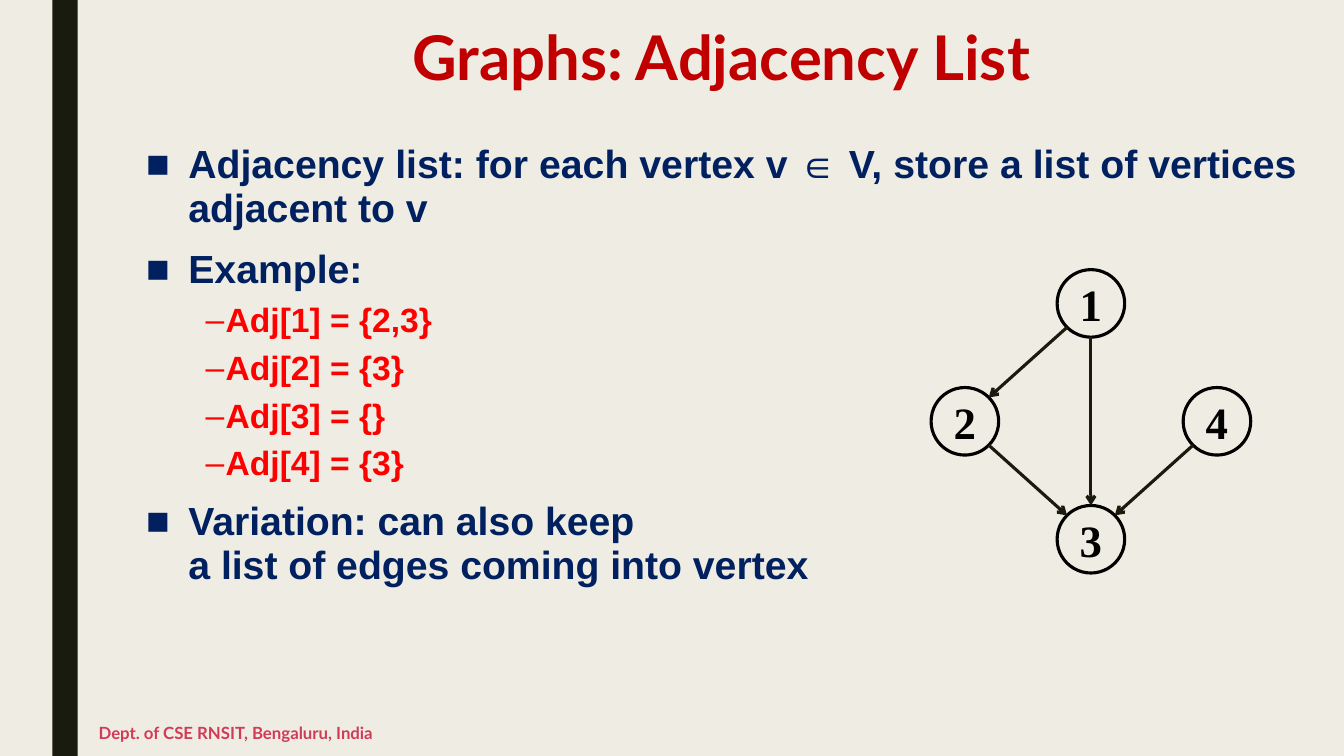
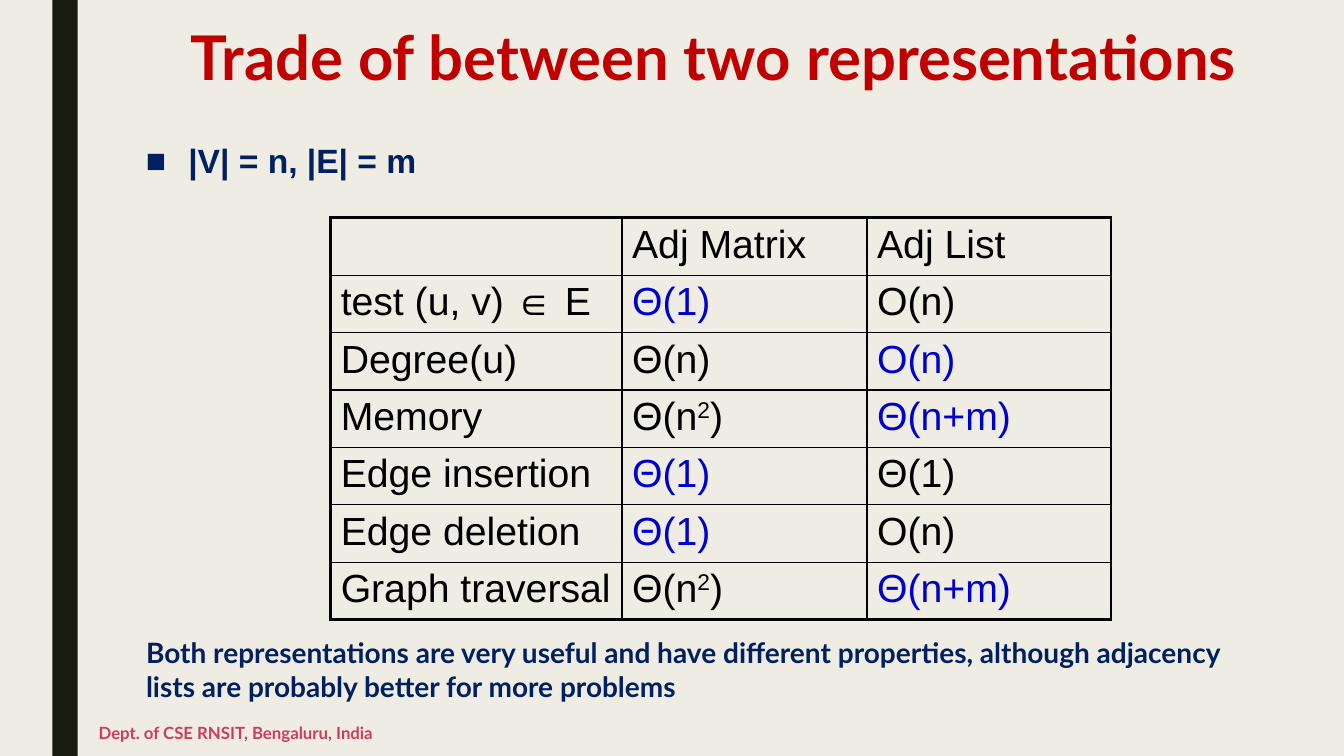
import math

from lxml import etree
from pptx import Presentation
from pptx.dml.color import RGBColor
from pptx.enum.shapes import MSO_CONNECTOR, MSO_SHAPE
from pptx.enum.text import MSO_ANCHOR, MSO_AUTO_SIZE, PP_ALIGN
from pptx.oxml.ns import qn
from pptx.util import Inches, Pt

RECTANGLE, OVAL = MSO_SHAPE.RECTANGLE, MSO_SHAPE.OVAL
STRAIGHT = MSO_CONNECTOR.STRAIGHT
TOP, MIDDLE = MSO_ANCHOR.TOP, MSO_ANCHOR.MIDDLE
LEFT, CENTER, JUSTIFY = PP_ALIGN.LEFT, PP_ALIGN.CENTER, PP_ALIGN.JUSTIFY
NO_AUTOFIT = MSO_AUTO_SIZE.NONE

# Colours and fonts
CREAM = RGBColor(0xEF, 0xED, 0xE3)
DARK = RGBColor(0x19, 0x1B, 0x0E)
TITLE_RED = RGBColor(0xC0, 0x00, 0x00)
NAVY = RGBColor(0x00, 0x20, 0x60)
RED = RGBColor(0xFF, 0x00, 0x00)
BLUE = RGBColor(0x00, 0x00, 0xCC)
BLACK = RGBColor(0x00, 0x00, 0x00)
ROSE = RGBColor(0xD1, 0x3B, 0x56)
SANS, HEADING, SERIF = "Arial", "Lato", "Times New Roman"

# Per list level: bullet, left indent, hanging indent, space before, colour
LEVELS = (("■", 0.42, 0.42, 10, NAVY), ("–", 0.79, 0.2, 5, RED))
CONTENT_LEFT = 1.35
FOOTER = "Dept. of CSE RNSIT, Bengaluru, India"

# Graph: vertex centres on a grid
NODE_SIZE = 0.67
GRAPH_X, GRAPH_Y, STEP_X, STEP_Y = 10.82, 3.01, 1.25, 1.17
NODES = {
    "1": (GRAPH_X, GRAPH_Y),
    "2": (GRAPH_X - STEP_X, GRAPH_Y + STEP_Y),
    "4": (GRAPH_X + STEP_X, GRAPH_Y + STEP_Y),
    "3": (GRAPH_X, GRAPH_Y + 2 * STEP_Y),
}
EDGES = (("1", "2"), ("2", "3"), ("4", "3"), ("1", "3"))

# Table: label, matrix cost, list cost, column shown in blue; ^ marks superscript
COSTS = (
    ("", "Adj Matrix", "Adj List", None),
    ("test (u, v) ∈ E", "Θ(1)", "O(n)", 1),
    ("Degree(u)", "Θ(n)", "O(n)", 2),
    ("Memory", "Θ(n^2^)", "Θ(n+m)", 2),
    ("Edge insertion", "Θ(1)", "Θ(1)", 1),
    ("Edge deletion", "Θ(1)", "O(n)", 1),
    ("Graph traversal", "Θ(n^2^)", "Θ(n+m)", 2),
)
COLUMN_WIDTHS = (2.89, 2.43, 2.42)
ROW_HEIGHT = 0.57


def format_span(span, size, font, color, bold=True):
    span.font.size = Pt(size)
    span.font.name = font
    span.font.color.rgb = color
    span.font.bold = bold


def format_para(para, size, font, color, align=LEFT):
    para.alignment = align
    for span in para.runs:
        format_span(span, size, font, color)


def add_text(page, area, text, size, color, anchor=TOP):
    box = page.shapes.add_textbox(*map(Inches, area))
    frame = box.text_frame
    frame.word_wrap = True
    frame.vertical_anchor = anchor
    frame.text = text
    format_para(frame.paragraphs[0], size, HEADING, color)


def add_page(deck, title):
    """Add a slide with the side band, title and footer."""
    page = deck.slides.add_slide(deck.slide_layouts[5])
    band = page.shapes.add_shape(RECTANGLE, Inches(0.52), 0,
                                 Inches(0.25), deck.slide_height)
    band.shadow.inherit = False
    band.fill.solid()
    band.fill.fore_color.rgb = DARK
    band.line.fill.background()

    box = page.shapes.title
    box.left, box.top = Inches(CONTENT_LEFT), Inches(0.23)
    box.width, box.height = Inches(11.61), Inches(0.88)
    frame = box.text_frame
    frame.text = title
    frame.auto_size = NO_AUTOFIT
    frame.vertical_anchor = TOP
    para = frame.paragraphs[0]
    para.line_spacing = 0.89
    format_para(para, 44, HEADING, TITLE_RED, CENTER)

    add_text(page, (0.88, 7.05, 6.87, 0.44), FOOTER, 12, ROSE, MIDDLE)
    return page


def add_bullets(page, width, height, items, sizes):
    """Add a list of (level, text, alignment) items."""
    box = page.shapes.add_textbox(Inches(CONTENT_LEFT), Inches(1.37),
                                  Inches(width), Inches(height))
    frame = box.text_frame
    frame.word_wrap = True
    for index, (level, text, align) in enumerate(items):
        bullet, indent, hanging, before, color = LEVELS[level]
        para = frame.add_paragraph() if index else frame.paragraphs[0]
        para.text = text
        para.level = level
        properties = para._p.get_or_add_pPr()
        properties.set("marL", str(Inches(indent)))
        properties.set("indent", str(-Inches(hanging)))
        etree.SubElement(properties, qn("a:buFont"), typeface=SANS)
        etree.SubElement(properties, qn("a:buChar"), char=bullet)
        para.line_spacing = 0.94
        para.space_before = Pt(before if index else 0)
        para.space_after = Pt(2)
        format_para(para, sizes[level], SANS, color, align)


def add_node(page, label, center):
    left, top = (value - NODE_SIZE / 2 for value in center)
    node = page.shapes.add_shape(OVAL, Inches(left), Inches(top),
                                 Inches(NODE_SIZE), Inches(NODE_SIZE))
    node.shadow.inherit = False
    node.fill.background()
    node.line.color.rgb = BLACK
    node.line.width = Pt(2.25)
    frame = node.text_frame
    frame.word_wrap = False
    frame.vertical_anchor = MIDDLE
    frame.text = label
    format_para(frame.paragraphs[0], 32, SERIF, BLACK, CENTER)


def add_edge(page, start, end):
    """Draw an arrow between the rims, vertical or leaving at 45 degrees."""
    across, down = ((b > a) - (b < a) for a, b in zip(start, end))
    reach = NODE_SIZE / 2 / math.hypot(across, down)
    shift = (across * reach, down * reach)
    first = [Inches(a + d) for a, d in zip(start, shift)]
    last = [Inches(b - d) for b, d in zip(end, shift)]
    edge = page.shapes.add_connector(STRAIGHT, *first, *last)
    edge.line.color.rgb = DARK
    edge.line.width = Pt(2.25)
    etree.SubElement(edge.line._get_or_add_ln(), qn("a:tailEnd"), type="arrow")
    etree.SubElement(edge._element.spPr, qn("a:effectLst"))


def set_borders(cell, widths):
    properties = cell._tc.get_or_add_tcPr()
    for side, width in zip("LRTB", widths):
        line = etree.SubElement(properties, qn(f"a:ln{side}"), w=str(Pt(width)))
        fill = etree.SubElement(line, qn("a:solidFill"))
        etree.SubElement(fill, qn("a:srgbClr"), val=str(BLACK))


def fill_cell(cell, text, color):
    para = cell.text_frame.paragraphs[0]
    for index, piece in enumerate(text.split("^")):
        if piece:
            span = para.add_run()
            span.text = piece
            format_span(span, 28, SANS, color, bold=False)
            if index % 2:
                span.font._element.set("baseline", "30000")


def add_cost_table(page):
    rows, columns = len(COSTS), len(COLUMN_WIDTHS)
    table = page.shapes.add_table(
        rows, columns, Inches(3.28), Inches(2.16),
        Inches(sum(COLUMN_WIDTHS)), Inches(ROW_HEIGHT * rows)).table
    table.first_row = table.horz_banding = False
    for column, width in zip(table.columns, COLUMN_WIDTHS):
        column.width = Inches(width)
    for r, (*texts, best) in enumerate(COSTS):
        table.rows[r].height = Inches(ROW_HEIGHT)
        for c, text in enumerate(texts):
            cell = table.cell(r, c)
            outer = (c == 0, c == columns - 1, r == 0, r == rows - 1)
            set_borders(cell, [2.25 if edge else 1 for edge in outer])
            cell.fill.background()
            fill_cell(cell, text, BLUE if c == best else BLACK)


def build_adjacency_page(deck):
    page = add_page(deck, "Graphs: Adjacency List")
    items = [
        (0, "Adjacency list: for each vertex v ∈ V, store a list of vertices "
            "adjacent to v", JUSTIFY),
        (0, "Example:", JUSTIFY),
        (1, "Adj[1] = {2,3}", JUSTIFY),
        (1, "Adj[2] = {3}", JUSTIFY),
        (1, "Adj[3] = {}", JUSTIFY),
        (1, "Adj[4] = {3}", JUSTIFY),
        (0, "Variation: can also keep \va list of edges coming into vertex", LEFT),
    ]
    add_bullets(page, 11.61, 5.47, items, (28, 24))
    for label, center in NODES.items():
        add_node(page, label, center)
    for start, end in EDGES:
        add_edge(page, NODES[start], NODES[end])


def build_comparison_page(deck):
    page = add_page(deck, "Trade of between two representations ")
    add_bullets(page, 4, 0.6, [(0, "|V| = n, |E| = m", JUSTIFY)], (24,))
    add_cost_table(page)
    add_text(page, (CONTENT_LEFT, 6.26, 11.08, 0.77),
             "Both representations are very useful and have different "
             "properties, although adjacency lists are probably better for "
             "more problems", 20, NAVY)


def main():
    deck = Presentation()
    deck.slide_width, deck.slide_height = Inches(13.33), Inches(7.5)
    background = deck.slide_master.background.fill
    background.solid()
    background.fore_color.rgb = CREAM
    build_adjacency_page(deck)
    build_comparison_page(deck)
    deck.save("out.pptx")


if __name__ == "__main__":
    main()
